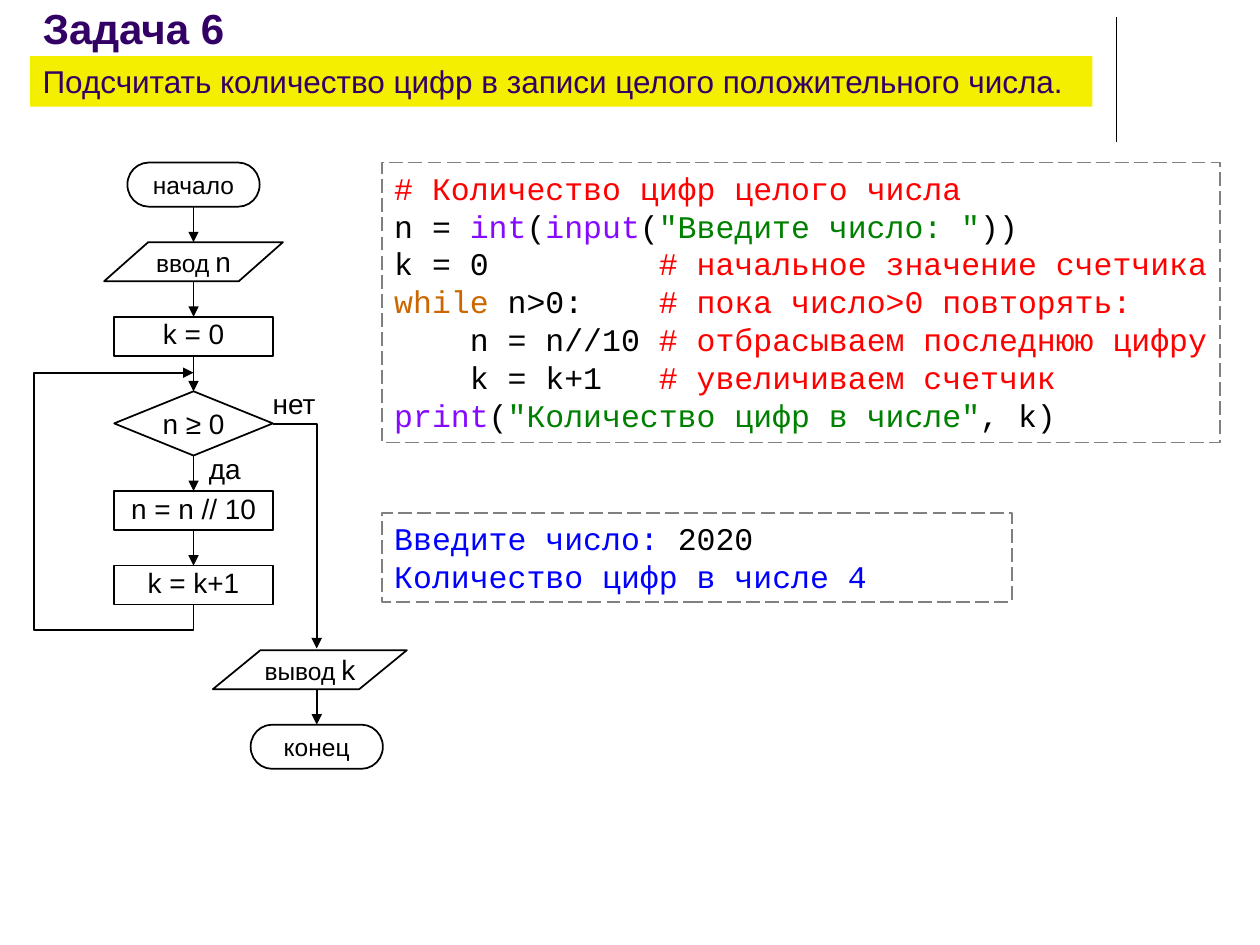
from dataclasses import dataclass
from lxml.etree import SubElement
from pptx import Presentation
from pptx.dml.color import RGBColor
from pptx.enum.dml import MSO_LINE
from pptx.enum.shapes import MSO_CONNECTOR, MSO_SHAPE
from pptx.enum.text import MSO_ANCHOR, MSO_AUTO_SIZE, PP_ALIGN
from pptx.oxml.ns import qn
from pptx.util import Pt

TOP, BOTTOM = 0, 2


@dataclass(frozen=True)
class Theme:
    sans: str = "Arial"
    mono: str = "Courier New"
    ink: str = "000000"
    paper: str = "FFFFFF"
    heading: str = "330066"
    banner: str = "F4EE00"
    frame: str = "808080"
    comment: str = "FF0000"
    builtin: str = "850AFF"
    string: str = "008000"
    keyword: str = "CC6600"
    console: str = "0000FF"
    title_size: float = 24
    text_size: float = 18
    formula_size: float = 16
    caption_size: float = 14
    gap_size: float = 12
    thin: float = 0.75
    stroke: float = 1


class SlideBuilder:
    """Draws the titled flowchart and code panels on one slide."""

    def __init__(self, slide, theme):
        self.slide, self.theme = slide, theme

    def set_text(self, shape, lines, font, align=PP_ALIGN.LEFT, anchor=MSO_ANCHOR.TOP,
                 insets=(7.2, 3.6, 7.2, 3.6), bold=False):
        frame = shape.text_frame
        frame.word_wrap, frame.auto_size = True, MSO_AUTO_SIZE.NONE
        frame.vertical_anchor = anchor
        (frame.margin_left, frame.margin_top,
         frame.margin_right, frame.margin_bottom) = map(Pt, insets)
        for index, line in enumerate(lines):
            paragraph = frame.add_paragraph() if index else frame.paragraphs[0]
            paragraph.alignment = align
            for text, size, color in line:
                run = paragraph.add_run()
                run.text = text
                run.font.name, run.font.size, run.font.bold = font, Pt(size), bold
                run.font.color.rgb = RGBColor.from_string(color)

    def title(self, text, box):
        heading = self.slide.shapes.title
        heading.left, heading.top, heading.width, heading.height = map(Pt, box)
        line = [(text, self.theme.title_size, self.theme.heading)]
        self.set_text(heading, [line], self.theme.sans, anchor=MSO_ANCHOR.BOTTOM, bold=True)

    def outline(self, shape, color, width):
        shape.line.color.rgb = RGBColor.from_string(color)
        shape.line.width = Pt(width)

    def shape(self, kind, box, fill=None, line=None):
        shape = self.slide.shapes.add_shape(kind, *map(Pt, box))
        shape.shadow.inherit = False
        if fill:
            shape.fill.solid()
            shape.fill.fore_color.rgb = RGBColor.from_string(fill)
        else:
            shape.fill.background()
        if line:
            self.outline(shape, line, self.theme.stroke)
        else:
            shape.line.fill.background()
        return shape

    def banner(self, text, box):
        line = [(text, self.theme.text_size, self.theme.heading)]
        self.set_text(self.shape(MSO_SHAPE.RECTANGLE, box, self.theme.banner), [line],
                      self.theme.sans)

    def panel(self, lines, box):
        panel = self.shape(MSO_SHAPE.RECTANGLE, box, line=self.theme.frame)
        panel.line.dash_style = MSO_LINE.LONG_DASH
        sized = [[(text, self.theme.text_size, color) for text, color in line]
                 for line in lines]
        self.set_text(panel, sized, self.theme.mono, insets=(7.2, 3.6, 0, 3.6))

    def node(self, kind, center, top, width, height, parts, slant=None):
        node = self.shape(kind, (center - width / 2, top, width, height),
                          self.theme.paper, self.theme.ink)
        if slant:
            node.adjustments[0] = slant
        anchor = MSO_ANCHOR.TOP if kind == MSO_SHAPE.RECTANGLE else MSO_ANCHOR.MIDDLE
        self.caption(node, parts, anchor)
        return node

    def caption(self, shape, parts, anchor=MSO_ANCHOR.TOP):
        line = [(text, size, self.theme.ink) for text, size in parts]
        self.set_text(shape, [line], self.theme.sans, PP_ALIGN.CENTER, anchor, (0, 0, 0, 0))

    def label(self, text, box):
        label = self.slide.shapes.add_textbox(*map(Pt, box))
        self.caption(label, [(text, self.theme.formula_size)])

    def arrowhead(self, shape):
        SubElement(shape._element.spPr.find(qn("a:ln")), qn("a:tailEnd"), type="triangle")

    def vertical(self, x, start, end, width):
        line = self.slide.shapes.add_connector(
            MSO_CONNECTOR.STRAIGHT, Pt(x), Pt(start), Pt(x), Pt(end))
        self.outline(line, self.theme.ink, width)
        SubElement(line._element.spPr, qn("a:effectLst"))
        return line

    def arrow(self, x, start, end, source, target):
        arrow = self.vertical(x, start, end, self.theme.stroke)
        self.arrowhead(arrow)
        if source.auto_shape_type != MSO_SHAPE.PARALLELOGRAM:
            arrow.begin_connect(source, BOTTOM)
        if target.auto_shape_type != MSO_SHAPE.PARALLELOGRAM:
            arrow.end_connect(target, TOP)

    def bent_arrow(self, points):
        start, *rest = [(Pt(x), Pt(y)) for x, y in points]
        builder = self.slide.shapes.build_freeform(*start, scale=1.0)
        builder.add_line_segments(rest, close=False)
        bend = builder.convert_to_shape()
        bend.shadow.inherit = False
        bend.fill.background()
        self.outline(bend, self.theme.ink, self.theme.stroke)
        self.arrowhead(bend)


def main():
    theme = Theme()
    deck = Presentation()
    deck.slide_width, deck.slide_height = Pt(720), Pt(540)
    page = SlideBuilder(deck.slides.add_slide(deck.slide_layouts[5]), theme)

    page.vertical(638, 10, 81, theme.thin)
    page.title("Задача 6", (17.3, 0, 594, 33.8))
    page.banner("Подсчитать количество цифр в записи целого положительного числа.",
                (17.3, 32, 607, 29))

    formula, caption, space = theme.formula_size, theme.caption_size, (" ", theme.gap_size)
    terminator, data = MSO_SHAPE.FLOWCHART_TERMINATOR, MSO_SHAPE.PARALLELOGRAM
    step, decision = MSO_SHAPE.RECTANGLE, MSO_SHAPE.FLOWCHART_DECISION
    loop_axis, exit_axis, gap = 110.6, 181, 20.3
    loop_branch = [
        (terminator, loop_axis, 75.6, 25.2, [("начало", caption)], None),
        (data, loop_axis, 102.2, 22.3, [("ввод", caption), space, ("n", formula)], 1.13),
        (step, loop_axis, 90.7, 22.3, [("k = 0", formula)], None),
        (decision, loop_axis, 90.7, 36.7, [("n ≥ 0", formula)], None),
        (step, loop_axis, 90.7, 22.3, [("n = n // 10", formula)], None),
        (step, loop_axis, 90.7, 22.3, [("k = k+1", formula)], None),
    ]
    exit_branch = [
        (data, 177.1, 110.9, 22.3, [("вывод", caption), space, ("k", formula)], 1.22),
        (terminator, exit_axis, 75.6, 25.2, [("конец", caption)], None),
    ]
    for axis, top, branch in ((loop_axis, 92.9, loop_branch), (exit_axis, 371.5, exit_branch)):
        previous = None
        for kind, center, width, height, parts, slant in branch:
            node = page.node(kind, center, top, width, height, parts, slant)
            if previous:
                page.arrow(axis, top - gap, top, previous, node)
            previous, top = node, top + height + gap

    page.bent_arrow([(loop_axis, 345.5), (loop_axis, 360), (19.5, 360),
                     (19.5, 213), (loop_axis, 213)])
    page.bent_arrow([(156, 242.3), (exit_axis, 242.3), (exit_axis, 370.5)])
    page.label("да", (108, 257.8, 41, 23.8))
    page.label("нет", (147.6, 221, 41, 23.8))

    ink, comment, builtin, string = theme.ink, theme.comment, theme.builtin, theme.string
    page.panel([
        [("Введите число: ", theme.console), ("2020", ink)],
        [("Количество цифр в числе 4", theme.console)],
    ], (218.2, 293, 360, 51))
    page.panel([
        [("# Количество цифр целого числа", comment)],
        [("n = ", ink), ("int", builtin), ("(", ink), ("input", builtin), ("(", ink),
         ('"Введите число: "', string), ("))", ink)],
        [("k = 0         ", ink), ("# начальное значение счетчика", comment)],
        [("while", theme.keyword), (" n>0:    ", ink), ("# пока число>0 повторять:", comment)],
        [("    n = n//10 ", ink), ("# отбрасываем последнюю цифру", comment)],
        [("    k = k+1   ", ink), ("# увеличиваем счетчик", comment)],
        [("print", builtin), ("(", ink), ('"Количество цифр в числе"', string), (", k)", ink)],
    ], (218.2, 92.9, 479, 160))
    deck.save("out.pptx")


if __name__ == "__main__":
    main()
